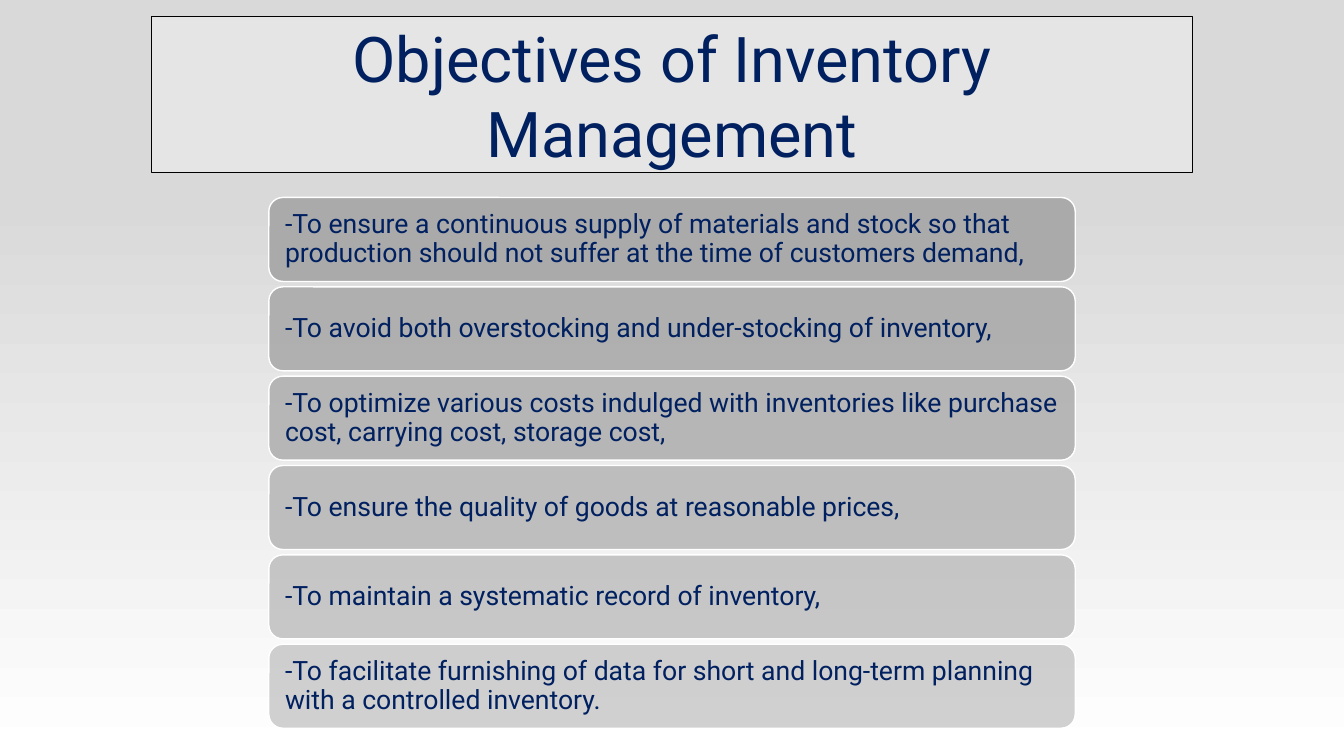
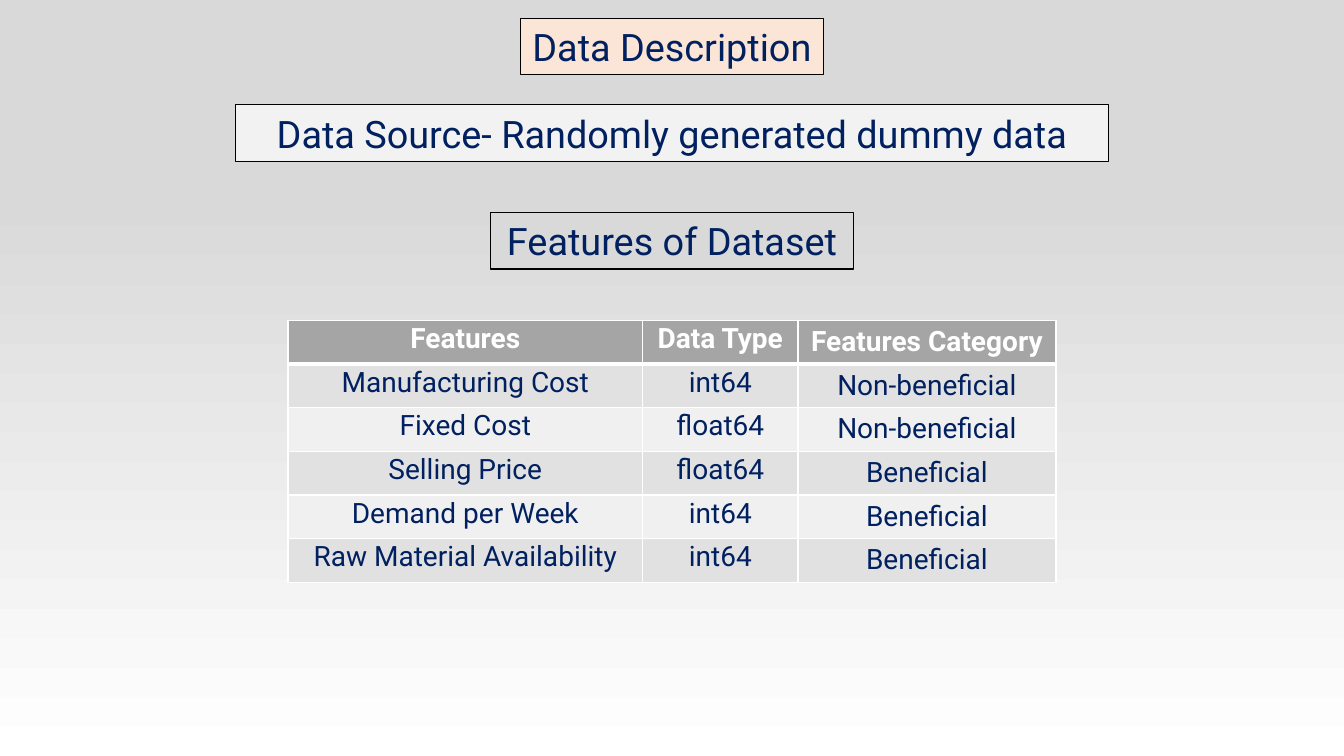
from lxml.etree import SubElement
from pptx import Presentation
from pptx.dml.color import RGBColor
from pptx.enum.shapes import MSO_SHAPE as SHAPE
from pptx.enum.text import MSO_ANCHOR as ANCHOR, MSO_AUTO_SIZE as AUTO, PP_ALIGN as ALIGN
from pptx.oxml import parse_xml
from pptx.oxml.ns import nsdecls, qn
from pptx.util import Inches, Pt

FONT = "Roboto"
NAVY, WHITE, BLACK, GREY, PALE, SILVER = "002060", "FFFFFF", "000000", "A5A5A5", "F2F2F2", "D9D9D9"
rgb = RGBColor.from_string
COLS = 80  # the slide is a grid of 80 by 45 square units

prs = Presentation()
prs.slide_width, prs.slide_height = Inches(13.33), Inches(7.5)
UNIT = prs.slide_width / COLS


def write(tf, text, size, color=NAVY, align=ALIGN.CENTER, bold=False):
    """Put one formatted run in the first paragraph and return the paragraph."""
    p = tf.paragraphs[0]
    p.alignment = align
    r = p.add_run()
    r.text = text
    r.font.name, r.font.size, r.font.bold = FONT, Pt(size), bold
    r.font.color.rgb = rgb(color)
    return p


def style_box(sp, top, width, height, fill, line=BLACK, weight=0.75, alpha=100):
    """Centre a box on the slide, in grid units, and paint it."""
    sp.left, sp.top = round((COLS - width) / 2 * UNIT), round(top * UNIT)
    sp.width, sp.height = round(width * UNIT), round(height * UNIT)
    sp.fill.solid()
    sp.fill.fore_color.rgb = rgb(fill)
    if alpha < 100:
        color = sp.fill._xPr.find(qn("a:solidFill"))[0]
        SubElement(color, qn("a:alpha"), val=str(alpha * 1000))
    sp.line.color.rgb, sp.line.width = rgb(line), Pt(weight)
    tf = sp.text_frame
    tf.word_wrap, tf.auto_size, tf.vertical_anchor = True, AUTO.NONE, ANCHOR.MIDDLE
    return tf


# Shared background: white at the bottom, grey from three quarters up
bg = prs.slide_master.background.fill
bg.gradient()
bg.gradient_angle = 90
for stop, position, color in zip(bg.gradient_stops, (0, 0.74), (WHITE, SILVER)):
    stop.position, stop.color.rgb = position, rgb(color)
title_only = prs.slide_layouts[5]

# Slide 1: objectives
s = prs.slides.add_slide(title_only)
tf = style_box(s.shapes.title, 1, 62, 9.3, PALE, alpha=50)
write(tf, "Objectives of Inventory Management", 45)

objectives = [
    "-To ensure a continuous supply of materials and stock so that production should not suffer "
    "at the time of customers demand,",
    "-To avoid both overstocking and under-stocking of inventory,",
    "-To optimize various costs indulged with inventories like purchase cost, carrying cost, storage cost,",
    "-To ensure the quality of goods at reasonable prices,",
    "-To maintain a systematic record of inventory,",
    "-To facilitate furnishing of data for short and long-term planning with a controlled inventory.",
]
for i, text in enumerate(objectives):
    sp = s.shapes.add_shape(SHAPE.ROUNDED_RECTANGLE, 0, 0, 0, 0)
    sp.shadow.inherit = False
    tf = style_box(sp, 11.76 + 5.32 * i, 48, 5, GREY, WHITE, 1, alpha=90 - 8 * i)
    tf.margin_left = tf.margin_right = Inches(0.12)
    write(tf, text, 19, align=ALIGN.LEFT).line_spacing = 0.9

# Slide 2: data description
s = prs.slides.add_slide(title_only)
write(style_box(s.shapes.title, 1.08, 18, 3.36, "FBE5D6"), "Data Description", 27)
for text, top, width, fill in [
    ("Data Source- Randomly generated dummy data", 6.24, 52, PALE),
    ("Features of Dataset", 12.66, 21.6, SILVER),
]:
    sp = s.shapes.add_shape(SHAPE.RECTANGLE, 0, 0, 0, 0)
    sp.shadow.inherit = False
    write(style_box(sp, top, width, 3.36, fill), text, 27)

features = [
    ("Features", "Data Type", "Features Category"),
    ("Manufacturing Cost", "int64", "Non-beneficial"),
    ("Fixed Cost", "float64", "Non-beneficial"),
    ("Selling Price", "float64", "Beneficial"),
    ("Demand per Week", "int64", "Beneficial"),
    ("Raw Material Availability", "int64", "Beneficial"),
]
widths, row_height = (21.12, 9.24, 15.36), 2.6
table_width = sum(widths)
frame = s.shapes.add_table(
    len(features), len(widths), round((COLS - table_width) / 2 * UNIT), round(19.08 * UNIT),
    round(table_width * UNIT), round(len(features) * row_height * UNIT))
table = frame.table
for column, width in zip(table.columns, widths):
    column.width = round(width * UNIT)

for i, row in enumerate(features):
    header = i == 0
    fill = GREY if header else ("F0F0F0", "E1E1E1")[i % 2]
    for j, text in enumerate(row):
        cell = table.cell(i, j)
        p = write(cell.text_frame, text, 20, WHITE if header else NAVY, bold=header)
        if j < 2:
            cell.margin_left = cell.margin_right = Inches(0.07)
            cell.margin_top = cell.margin_bottom = 0
            p.line_spacing = 1.06
        weights = {"L": 1, "R": 1, "T": 3 if i == 1 else 1, "B": 3 if header else 1}
        for side, weight in weights.items():
            cell._tc.get_or_add_tcPr().append(parse_xml(
                f'<a:ln{side} {nsdecls("a")} w="{Pt(weight)}"><a:solidFill>'
                f'<a:srgbClr val="{WHITE}"/></a:solidFill></a:ln{side}>'))
        cell.fill.solid()
        cell.fill.fore_color.rgb = rgb(fill)

prs.save("out.pptx")
